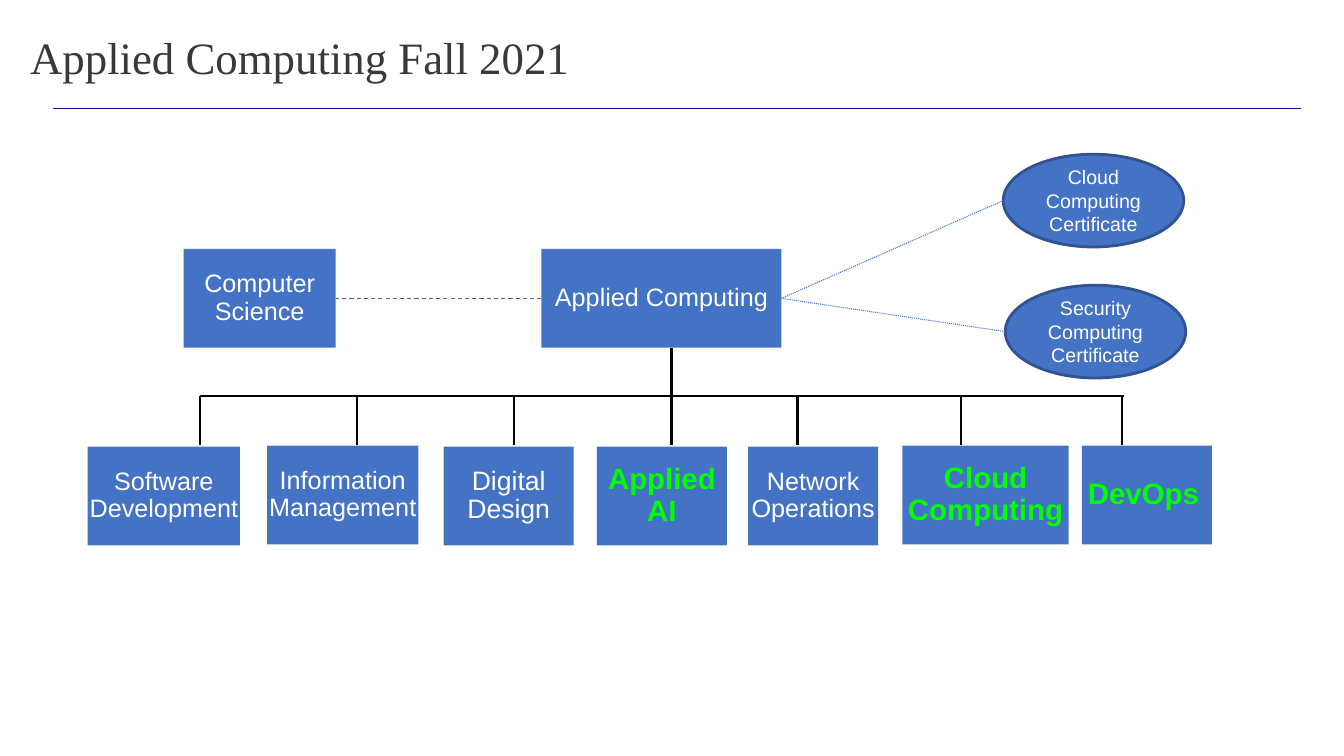
from pptx import Presentation
from pptx.dml.color import RGBColor
from pptx.enum.dml import MSO_LINE
from pptx.enum.shapes import MSO_CONNECTOR, MSO_SHAPE
from pptx.enum.text import MSO_ANCHOR, PP_ALIGN
from pptx.oxml.ns import qn
from pptx.util import Inches, Pt
from lxml.etree import SubElement

# Content
TITLE = "Applied Computing Fall 2021"
PROGRAMS = [  # text, left, width
    ("Computer Science", 1.82, 1.51),
    ("Applied Computing", 5.37, 2.38),
]
TRACKS = [  # text, left, top, width, size, new track, drop x
    ("Software Development", 0.87, 4.43, 1.51, 18, False, 1.98),
    ("Information Management", 2.65, 4.42, 1.5, 18, False, 3.54),
    ("Digital Design", 4.4, 4.43, 1.29, 19, False, 5.1),
    ("Applied AI", 5.92, 4.43, 1.29, 21, True, 6.66),
    ("Network Operations", 7.42, 4.43, 1.29, 18, False, 7.91),
    ("Cloud Computing", 8.95, 4.42, 1.65, 21, True, 9.53),
    ("DevOps", 10.73, 4.42, 1.29, 21, True, 11.13),
]
CERTIFICATES = [  # text, left, top
    ("Cloud Computing Certificate", 9.95, 1.53),
    ("Security Computing Certificate", 9.97, 2.83),
]

THEME = {
    "fill": "4472C4", "outline": "31538F", "link": "3E6EC2", "tree": "000000",
    "rule": "011893", "title": "3A3838", "text": "FFFFFF", "new": "00FF00",
    "title_font": "Times New Roman", "font": "Arial",
    "title_size": 32, "size": 18, "cert_size": 14,
}
BOX_H, PROGRAM_Y = 0.98, 2.47
CERT_W, CERT_H = 1.79, 0.92
BUS_Y, TRUNK_X = 3.93, 6.66

prs = Presentation()
prs.slide_width, prs.slide_height = Inches(13.33), Inches(7.5)
s = prs.slides.add_slide(prs.slide_layouts[6])


def color(name):
    return RGBColor.from_string(THEME[name])


def add_run(p, text, size, ink, font="font", bold=False):
    r = p.add_run()
    r.text = text
    r.font.size, r.font.bold = Pt(size), bold
    r.font.name, r.font.color.rgb = THEME[font], color(ink)


def set_frame(sp, insets, align, spacing):
    tf = sp.text_frame
    tf.word_wrap = True
    tf.vertical_anchor = MSO_ANCHOR.MIDDLE
    tf.margin_left, tf.margin_top, tf.margin_right, tf.margin_bottom = map(Inches, insets)
    p = tf.paragraphs[0]
    p.alignment, p.line_spacing = align, spacing
    return p


def add_node(kind, x, y, w, h, insets, spacing):
    sp = s.shapes.add_shape(kind, *map(Inches, (x, y, w, h)))
    sp.shadow.inherit = False
    sp.fill.solid()
    sp.fill.fore_color.rgb = color("fill")
    sp.line.fill.background()
    return sp, set_frame(sp, insets, PP_ALIGN.CENTER, spacing)


def add_box(x, y, w):
    return add_node(MSO_SHAPE.RECTANGLE, x, y, w, BOX_H, [0.01] * 4, 0.9)


def add_line(x1, y1, x2, y2, ink, width, dash=None):
    c = s.shapes.add_connector(MSO_CONNECTOR.STRAIGHT, *map(Inches, (x1, y1, x2, y2)))
    c.line.color.rgb, c.line.width = color(ink), Pt(width)
    if dash:
        c.line.dash_style = dash
    SubElement(c._element.spPr, qn("a:effectLst"))
    return c


# Title and rule
add_line(0.53, 1.08, 12.9, 1.08, "rule", 0.75)
title = s.shapes.add_textbox(*map(Inches, (0.2, 0.25, 9.95, 0.69)))
p = set_frame(title, (0.1, 0.05, 0, 0.05), PP_ALIGN.LEFT, 0.9)
add_run(p, TITLE, THEME["title_size"], "title", "title_font")

# Tree lines: bus, trunk and one drop per track
add_line(TRACKS[0][-1], BUS_Y, 11.15, BUS_Y, "tree", 1.5)
add_line(TRUNK_X, PROGRAM_Y + BOX_H, TRUNK_X, BUS_Y, "tree", 1.5)
for *_, drop_x in TRACKS:
    add_line(drop_x, BUS_Y, drop_x, 4.41, "tree", 1.5)

# Track boxes
for text, x, y, w, size, is_new, _ in TRACKS:
    sp, p = add_box(x, y, w)
    add_run(p, text, size, "new" if is_new else "text", bold=is_new)
add_run(p, " ", THEME["size"], "new")

# Program boxes and the link between them
programs = []
for text, x, w in PROGRAMS:
    sp, p = add_box(x, PROGRAM_Y, w)
    add_run(p, text, THEME["size"], "text")
    programs.append(sp)
science, applied = programs
mid_y = PROGRAM_Y + BOX_H / 2
link = add_line(5.37, mid_y, 3.33, mid_y, "link", 0.75, MSO_LINE.DASH)
link.begin_connect(applied, 1)
link.end_connect(science, 3)

# Certificates, each linked to Applied Computing
for text, x, y in CERTIFICATES:
    sp, p = add_node(MSO_SHAPE.OVAL, x, y, CERT_W, CERT_H, (0.1, 0.05, 0.1, 0.05), 1.0)
    sp.line.color.rgb, sp.line.width = color("outline"), Pt(2)
    add_run(p, text, THEME["cert_size"], "text")
    link = add_line(7.75, mid_y, x, y + CERT_H / 2, "link", 0.75, MSO_LINE.ROUND_DOT)
    link.begin_connect(applied, 3)

prs.save("out.pptx")
